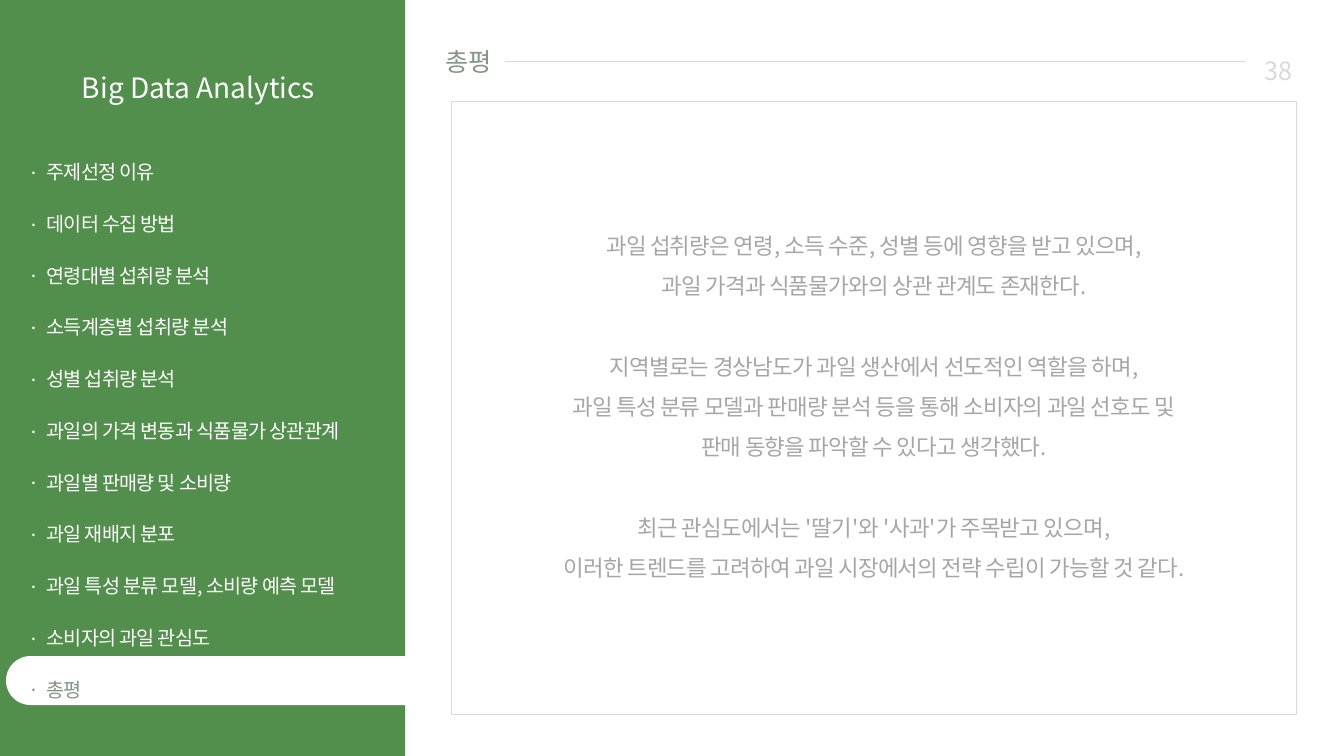
from dataclasses import dataclass

from lxml import etree
from pptx import Presentation
from pptx.dml.color import RGBColor
from pptx.enum.shapes import MSO_CONNECTOR, MSO_SHAPE
from pptx.enum.text import MSO_ANCHOR, PP_ALIGN
from pptx.oxml.ns import qn
from pptx.util import Pt

RECTANGLE, ROUNDED = MSO_SHAPE.RECTANGLE, MSO_SHAPE.ROUNDED_RECTANGLE
STRAIGHT = MSO_CONNECTOR.STRAIGHT
TOP = MSO_ANCHOR.TOP
LEFT, CENTER = PP_ALIGN.LEFT, PP_ALIGN.CENTER
LEFT_SIDE, RIGHT_SIDE = 1, 3
TITLE_ONLY = 5


@dataclass(frozen=True)
class Theme:
    font: str = "Noto Sans CJK KR"
    green: str = "538F4C"
    sage: str = "839585"
    white: str = "FFFFFF"
    rule: str = "D9D9D9"
    text: str = "A6A6A6"
    brand_size: int = 20
    heading_size: int = 18
    body_size: int = 16
    menu_size: int = 14
    line_height: float = 1.2
    tracking: float = -0.5


THEME = Theme()

MENU = [
    "주제선정 이유",
    "데이터 수집 방법",
    "연령대별 섭취량 분석",
    "소득계층별 섭취량 분석",
    "성별 섭취량 분석",
    "과일의 가격 변동과 식품물가 상관관계",
    "과일별 판매량 및 소비량",
    "과일 재배지 분포",
    "과일 특성 분류 모델, 소비량 예측 모델",
    "소비자의 과일 관심도",
    "총평",
]

REVIEW = [
    ["과일 섭취량은 연령, 소득 수준, 성별 등에 영향을 받고 있으며,",
     "과일 가격과 식품물가와의 상관 관계도 존재한다."],
    ["지역별로는 경상남도가 과일 생산에서 선도적인 역할을 하며,",
     "과일 특성 분류 모델과 판매량 분석 등을 통해 소비자의 과일 선호도 및",
     "판매 동향을 파악할 수 있다고 생각했다."],
    ["최근 관심도에서는 '딸기'와 '사과'가 주목받고 있으며,",
     "이러한 트렌드를 고려하여 과일 시장에서의 전략 수립이 가능할 것 같다."],
]


def place(shape, left, top, width, height):
    shape.left, shape.top = Pt(left), Pt(top)
    shape.width, shape.height = Pt(width), Pt(height)


def add_panel(page, kind, box, fill=None, line=None):
    panel = page.shapes.add_shape(kind, *map(Pt, box))
    panel.shadow.inherit = False
    if fill:
        panel.fill.solid()
        panel.fill.fore_color.rgb = RGBColor.from_string(fill)
    else:
        panel.fill.background()
    if line:
        panel.line.color.rgb = RGBColor.from_string(line)
        panel.line.width = Pt(1)
    else:
        panel.line.fill.background()
    return panel


def add_text_box(page, box):
    text_box = page.shapes.add_textbox(*map(Pt, box))
    text_box.text_frame.word_wrap = True
    return text_box


def add_bullet(para, color, indent):
    properties = para._p.get_or_add_pPr()
    properties.set("marL", str(Pt(indent)))
    properties.set("indent", str(-Pt(indent)))
    bullet_color = etree.SubElement(properties, qn("a:buClr"))
    etree.SubElement(bullet_color, qn("a:srgbClr"), val=color)
    etree.SubElement(properties, qn("a:buFont"), typeface=THEME.font)
    etree.SubElement(properties, qn("a:buChar"), char="·")


def style(para, size, color, align=LEFT, spacing=1.0, tracking=0):
    para.alignment = align
    para.line_spacing = Pt(round(size * THEME.line_height * spacing, 2))
    font = para.font
    font.size, font.name, font.bold = Pt(size), THEME.font, False
    font.color.rgb = RGBColor.from_string(color)
    defaults = para._p.pPr.find(qn("a:defRPr"))
    defaults.set("spc", str(int(tracking * 100)))
    # Korean glyphs take the East Asian typeface
    east_asian = etree.Element(qn("a:ea"), typeface=THEME.font)
    defaults.find(qn("a:latin")).addnext(east_asian)


def next_paragraph(frame, index):
    return frame.add_paragraph() if index else frame.paragraphs[0]


def build_sidebar(page, left, top, width, height):
    add_panel(page, RECTANGLE, (left, top, width, height), THEME.green)

    # Highlight of the current section
    highlight = add_panel(page, ROUNDED, (left + 4.3, top + 468.6, 307, 35), THEME.white)
    highlight.adjustments[0] = 0.5

    # Section menu
    menu = add_text_box(page, (left + 13, top + 90.7, 270, 412.6)).text_frame
    for index, label in enumerate(MENU):
        para = next_paragraph(menu, index)
        para.text = label
        color = THEME.sage if label == MENU[-1] else THEME.white
        add_bullet(para, color, 13)
        style(para, THEME.menu_size, color, spacing=2.2, tracking=THEME.tracking)

    # Deck name
    name = add_text_box(page, (left + 21.6, top + 46.8, 240.5, 31.7))
    para = name.text_frame.paragraphs[0]
    para.text = "Big Data Analytics"
    style(para, THEME.brand_size, THEME.white, CENTER)


def build_header(page, left, top, width, height):
    middle = top + height / 2

    # Title
    title = page.shapes.title
    place(title, left, middle - 14.5, 50, 29)
    frame = title.text_frame
    frame.word_wrap = False
    frame.vertical_anchor = TOP
    para = frame.paragraphs[0]
    para.text = "총평"
    style(para, THEME.heading_size, THEME.sage)

    # Page number
    number = add_text_box(page, (left + width - 49, top, 49, height))
    para = number.text_frame.paragraphs[0]
    para.text = "38"
    style(para, THEME.heading_size, THEME.rule, CENTER, spacing=1.5)

    # Rule from title to page number
    rule = page.shapes.add_connector(STRAIGHT, 0, 0, 0, 0)
    rule.begin_connect(title, RIGHT_SIDE)
    rule.end_connect(number, LEFT_SIDE)
    rule.line.color.rgb = RGBColor.from_string(THEME.rule)
    rule.line.width = Pt(0.5)
    etree.SubElement(rule._element.spPr, qn("a:effectLst"))


def build_review(page, left, top, width, height):
    # Review text, one gap of a line between groups
    frame = add_text_box(page, (left, top + 79.9, width, 266.4)).text_frame
    spacing = 1.5
    gap = THEME.body_size * THEME.line_height * spacing
    index = 0
    for group in REVIEW:
        for line in group:
            para = next_paragraph(frame, index)
            para.text = line
            if index and line == group[0]:
                para.space_before = Pt(gap)
            style(para, THEME.body_size, THEME.text, CENTER, spacing, THEME.tracking)
            index += 1

    # Frame
    add_panel(page, RECTANGLE, (left, top, width, height), line=THEME.rule)


def main():
    deck = Presentation()
    deck.slide_width, deck.slide_height = Pt(960), Pt(540)
    page = deck.slides.add_slide(deck.slide_layouts[TITLE_ONLY])
    build_sidebar(page, 0, 0, 289.4, 540)
    build_header(page, 311, 25.5, 627, 37)
    build_review(page, 322.6, 72.7, 603.4, 437.8)
    deck.save("out.pptx")


if __name__ == "__main__":
    main()
